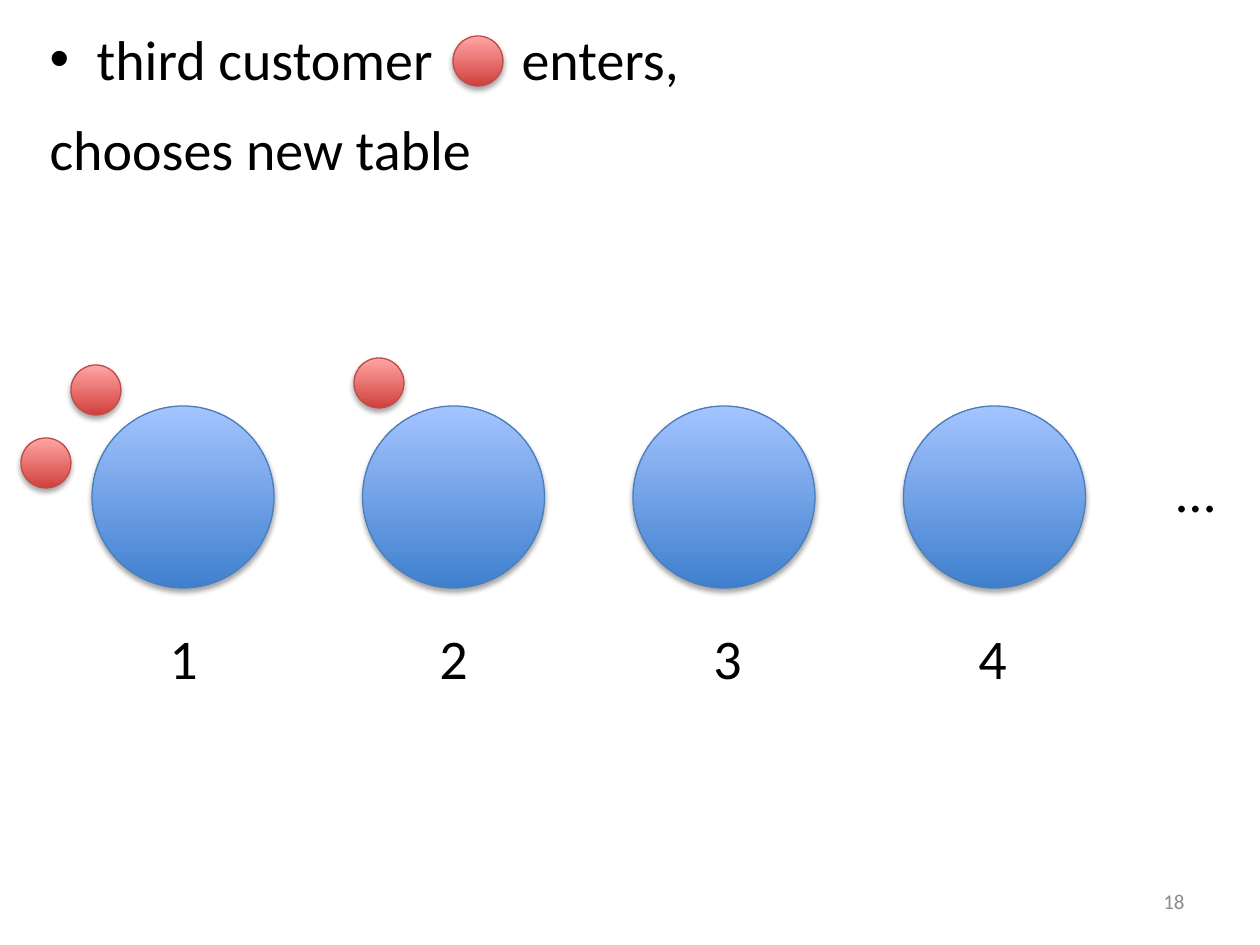
import pptx
import pptx.util
import pptx.dml.color
import pptx.enum.shapes
import pptx.enum.text
import pptx.oxml
import pptx.oxml.ns

RGB = pptx.dml.color.RGBColor
ALIGN = pptx.enum.text.PP_ALIGN
ANCHOR = pptx.enum.text.MSO_ANCHOR

BLACK = RGB(0x00, 0x00, 0x00)
GREY = RGB(0x8C, 0x8C, 0x8C)
TABLE_COLOURS = (RGB(0x3F, 0x80, 0xCE), RGB(0xA4, 0xC4, 0xFF), RGB(0x4B, 0x7E, 0xBC))
CUSTOMER_COLOURS = (RGB(0xD1, 0x40, 0x3C), RGB(0xFF, 0xA6, 0xA5), RGB(0xBF, 0x4C, 0x48))

FONT = "Calibri"
EMU_PER_PX = 914400 / 126

STORY = ["third customer\tenters,", "chooses new table"]
TABLE_LABELS = [("1", 157), ("2", 427), ("3", 701), ("4", 966)]
CUSTOMERS = [(71, 365), (453, 36), (21, 438), (354, 358)]
TABLE_LEFT, TABLE_TOP, TABLE_SIZE, TABLE_PITCH = 92, 406, 182, 270.5
CUSTOMER_SIZE = 50
LABEL_TOP, LABEL_WIDTH, LABEL_HEIGHT = 617, 54, 81
INDENT, ENTERS_TAB = 47, 472

NS = pptx.oxml.ns.nsdecls("a")
SHADOW = (f'<a:effectLst {NS}><a:outerShdw blurRad="39400" dist="22900" dir="5400000" '
          'rotWithShape="0"><a:srgbClr val="000000"><a:alpha val="35000"/></a:srgbClr>'
          '</a:outerShdw></a:effectLst>')


def px(length):
    return pptx.util.Emu(round(length * EMU_PER_PX))


def add_run(paragraph, text, size=32, colour=BLACK):
    run = paragraph.add_run()
    run.text = text
    run.font.name = FONT
    run.font.size = pptx.util.Pt(size)
    run.font.color.rgb = colour


def add_circle(slide, left, top, size, colours):
    bottom, upper, outline = colours
    circle = slide.shapes.add_shape(
        pptx.enum.shapes.MSO_SHAPE.OVAL, px(left), px(top), px(size), px(size))
    circle.fill.gradient()
    circle.fill.gradient_angle = 90
    for stop, colour, position in zip(circle.fill.gradient_stops, (bottom, upper), (0, 1)):
        stop.color.rgb = colour
        stop.position = position
    circle.line.color.rgb = outline
    circle.line.width = pptx.util.Pt(0.75)
    circle._element.spPr.append(pptx.oxml.parse_xml(SHADOW))


def add_label(slide, text, box, size=32, colour=BLACK, align=ALIGN.LEFT, anchor=ANCHOR.TOP):
    frame = slide.shapes.add_textbox(*map(px, box)).text_frame
    frame.word_wrap = False
    frame.vertical_anchor = anchor
    frame.paragraphs[0].alignment = align
    add_run(frame.paragraphs[0], text, size, colour)


def write_story(slide):
    body = slide.placeholders[1]
    body.left, body.top, body.width, body.height = map(px, (37, 18, 1134, 697))
    first = body.text_frame.paragraphs[0]
    second = body.text_frame.add_paragraph()
    first_format = first._p.get_or_add_pPr()
    first_format.set("marL", str(px(INDENT)))
    first_format.set("indent", str(-px(INDENT)))
    for xml in (f'<a:buFont {NS} typeface="Arial"/>', f'<a:buChar {NS} char="•"/>',
                f'<a:tabLst {NS}><a:tab pos="{px(ENTERS_TAB)}" algn="l"/></a:tabLst>'):
        first_format.append(pptx.oxml.parse_xml(xml))
    second_format = second._p.get_or_add_pPr()
    second_format.set("marL", "0")
    second_format.set("indent", "0")
    second_format.append(pptx.oxml.parse_xml(f"<a:buNone {NS}/>"))
    first.space_before = pptx.util.Pt(0)
    second.space_before = pptx.util.Pt(13)
    for paragraph, text in zip((first, second), STORY):
        add_run(paragraph, text)


def main():
    deck = pptx.Presentation()
    deck.slide_width, deck.slide_height = px(1260), px(945)
    slide = deck.slides.add_slide(deck.slide_layouts[1])
    title = slide.shapes.title._element
    title.getparent().remove(title)

    write_story(slide)
    add_label(slide, "18", (903, 876, 294, 50), 12, GREY, ALIGN.RIGHT, ANCHOR.MIDDLE)
    for index, (number, left) in enumerate(TABLE_LABELS):
        add_circle(slide, TABLE_LEFT + index * TABLE_PITCH, TABLE_TOP, TABLE_SIZE, TABLE_COLOURS)
        add_label(slide, number, (left, LABEL_TOP, LABEL_WIDTH, LABEL_HEIGHT))
    add_label(slide, "…", (1164, 450, 64, LABEL_HEIGHT))
    for left, top in CUSTOMERS:
        add_circle(slide, left, top, CUSTOMER_SIZE, CUSTOMER_COLOURS)
    deck.save("out.pptx")


if __name__ == "__main__":
    main()
